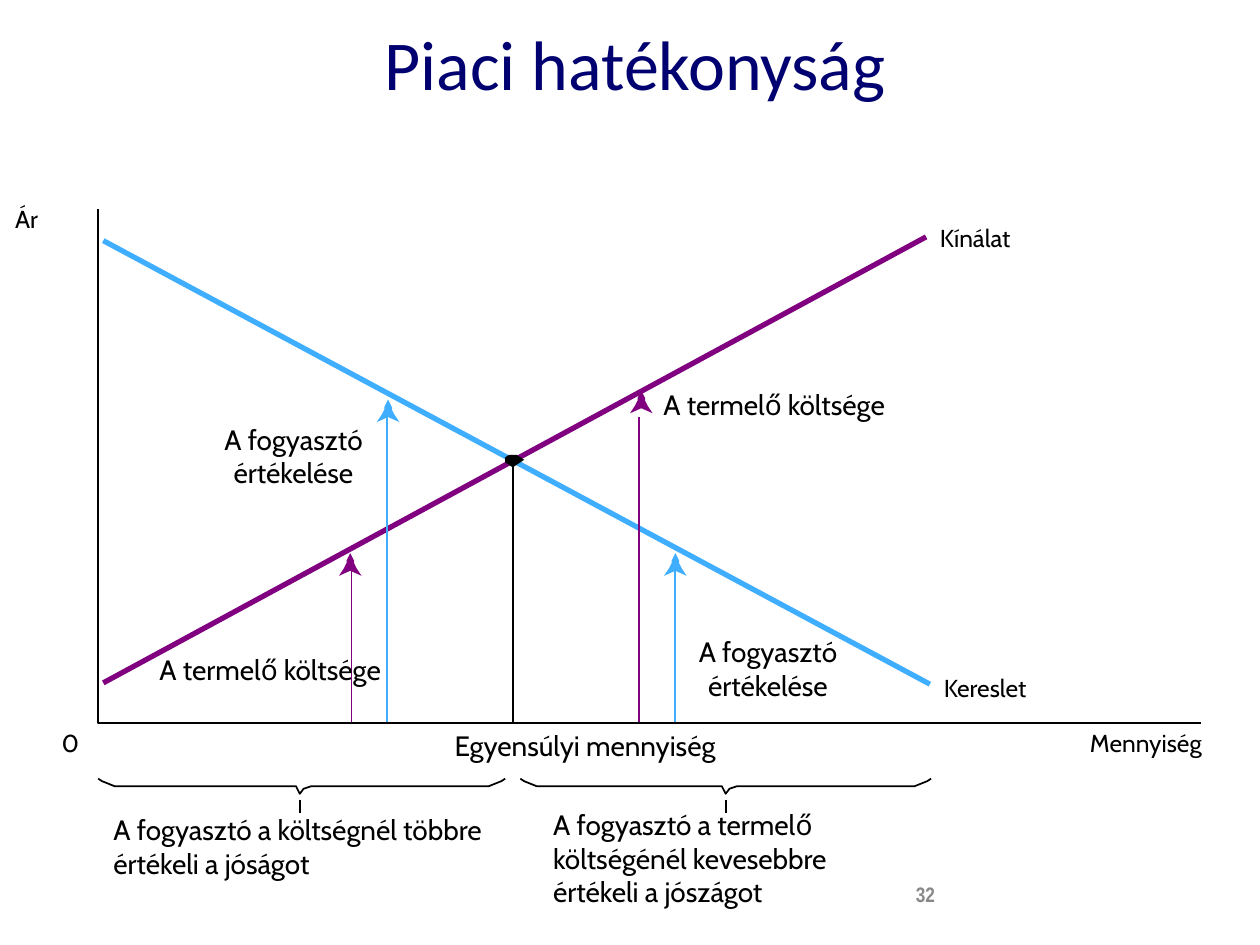
"""Build a supply and demand slide about market efficiency."""
from dataclasses import dataclass

from lxml import etree
from pptx import Presentation
from pptx import util as u
from pptx.dml.color import RGBColor
from pptx.enum import shapes, text
from pptx.oxml.ns import qn


@dataclass(frozen=True)
class Theme:
    title_font: str = "Calibri"
    body_font: str = "Cabin"
    number_font: str = "Arial Narrow"
    title: str = "000070"
    ink: str = "000000"
    grey: str = "898989"
    supply: str = "800080"
    demand: str = "40AEFF"
    title_size: int = 40
    note_size: int = 16
    label_size: int = 14
    number_size: int = 12
    thin: int = 1
    thick: int = 3


THEME = Theme()
AXIS_Y = 5.74
AXES = [(0.78, 1.66), (0.78, AXIS_Y), (9.53, AXIS_Y)]
CURVES = [
    ((0.82, 5.42), (7.35, 1.88), THEME.supply),
    ((0.82, 1.91), (7.38, 5.43), THEME.demand),
]
EQUILIBRIUM = (4.07, 3.66)
DOT = [(0, 0.05), (0.09, -0.01), (0.06, -0.03), (0.03, -0.05), (-0.03, -0.05),
       (-0.06, -0.03), (-0.06, 0.01), (-0.03, 0.03)]

# shaft x, shaft top, tip x, tip y, colour
ARROWS = [
    (3.07, 3.28, 3.08, 3.17, THEME.demand),
    (2.79, 4.51, 2.78, 4.39, THEME.supply),
    (5.07, 3.31, 5.09, 3.10, THEME.supply),
    (5.36, 4.51, 5.36, 4.39, THEME.demand),
]
HALF_HEAD = [(0.03, 0.06), (0.03, 0.08), (0.05, 0.12), (0.09, 0.18)]
HEAD = [(0, 0), *HALF_HEAD, (0, 0.14), *[(-x, y) for x, y in reversed(HALF_HEAD)]]

BRACES = [(0.78, 2.38, 4.01), (4.13, 5.76, 7.39)]
BRACE_Y = 6.18

LABELS = [
    ("Mennyiség", (8.65, 5.78, 0.95, 0.24)),
    ("Ár", (0.12, 1.62, 0.2, 0.24)),
    ("0", (0.49, 5.78, 0.14, 0.24)),
    ("Kínálat", (7.46, 1.77, 0.61, 0.24)),
    ("Kereslet", (7.49, 5.34, 0.72, 0.24)),
]
CENTRED_NOTES = [
    ("Egyensúlyi mennyiség", (3.53, 5.78, 2.23, 0.27)),
    ("A fogyasztó értékelése", (1.75, 3.35, 1.16, 0.54)),
    ("A termelő költsége", (1.22, 5.18, 1.85, 0.27)),
    ("A fogyasztó értékelése", (5.5, 5.04, 1.19, 0.54)),
    ("A termelő költsége", (5.22, 3.08, 1.85, 0.27)),
]
BRACE_NOTES = [
    ("A fogyasztó a költségnél többre\nértékeli a jóságot", (0.9, 6.45, 3.12, 0.54)),
    ("A fogyasztó a termelő\nköltségénél kevesebbre\nértékeli a jószágot",
     (4.39, 6.41, 2.35, 0.81)),
]


def add_text(page, words, at, *, size=THEME.note_size, font=THEME.body_font,
             color=THEME.ink, bold=False, centred=False, wrap=True,
             insets=(0, 0), anchor=text.MSO_ANCHOR.TOP):
    box = page.shapes.add_textbox(*map(u.Inches, at))
    frame = box.text_frame
    frame.word_wrap = wrap
    frame.vertical_anchor = anchor
    frame.margin_left = frame.margin_right = u.Inches(insets[0])
    frame.margin_top = frame.margin_bottom = u.Inches(insets[1])
    for index, line in enumerate(words.split("\n")):
        para = frame.add_paragraph() if index else frame.paragraphs[0]
        para.alignment = text.PP_ALIGN.CENTER if centred else text.PP_ALIGN.LEFT
        span = para.add_run()
        span.text = line
        span.font.name = font
        span.font.size = u.Pt(size)
        span.font.bold = bold
        span.font.color.rgb = RGBColor.from_string(color)


def add_line(page, start, end, color=THEME.ink, width=THEME.thin):
    line = page.shapes.add_connector(
        shapes.MSO_CONNECTOR.STRAIGHT, *map(u.Inches, (*start, *end)))
    line.line.color.rgb = RGBColor.from_string(color)
    line.line.width = u.Pt(width)
    etree.SubElement(line._element.spPr, qn("a:effectLst"))


def add_outline(page, points, color=THEME.ink, filled=False):
    corners = [(u.Inches(x), u.Inches(y)) for x, y in points]
    builder = page.shapes.build_freeform(*corners[0])
    builder.add_line_segments(corners[1:], close=filled)
    outline = builder.convert_to_shape()
    outline.shadow.inherit = False
    if filled:
        outline.fill.solid()
        outline.fill.fore_color.rgb = RGBColor.from_string(color)
        outline.line.fill.background()
    else:
        outline.fill.background()
        outline.line.color.rgb = RGBColor.from_string(color)
        outline.line.width = u.Pt(THEME.thin)


def shifted(points, origin):
    return [(origin[0] + x, origin[1] + y) for x, y in points]


def add_brace(page, left, middle, right):
    half = [(0, 0), (0.03, 0.02), (0.13, 0.06)]
    bar, tip = BRACE_Y + 0.06, BRACE_Y + 0.12
    add_outline(page, [
        *shifted(half, (left, BRACE_Y)),
        (middle - 0.09, bar), (middle - 0.03, bar), (middle, tip),
        (middle + 0.03, bar + 0.02), (middle + 0.09, bar),
        *[(right - x, BRACE_Y + y) for x, y in reversed(half)],
    ])
    add_line(page, (middle, tip + 0.05), (middle, tip + 0.15))


def main():
    deck = Presentation()
    deck.slide_width, deck.slide_height = u.Inches(10), u.Inches(7.5)
    page = deck.slides.add_slide(deck.slide_layouts[6])

    add_text(page, "Piaci hatékonyság", (0.25, 0.08, 9.58, 0.83),
             size=THEME.title_size, font=THEME.title_font, color=THEME.title,
             centred=True, insets=(0.1, 0.05), anchor=text.MSO_ANCHOR.MIDDLE)
    add_text(page, "32", (7.17, 6.95, 2.33, 0.4), size=THEME.number_size,
             font=THEME.number_font, color=THEME.grey, bold=True,
             insets=(0.1, 0.05))

    add_line(page, EQUILIBRIUM, (EQUILIBRIUM[0], AXIS_Y))
    for start, end, color in CURVES:
        add_line(page, start, end, color, THEME.thick)
    add_outline(page, shifted(DOT, EQUILIBRIUM), filled=True)
    for brace in BRACES:
        add_brace(page, *brace)
    for shaft_x, shaft_top, tip_x, tip_y, color in ARROWS:
        add_line(page, (shaft_x, AXIS_Y), (shaft_x, shaft_top), color)
        add_outline(page, shifted(HEAD, (tip_x, tip_y)), color, filled=True)
    add_outline(page, AXES)

    for words, at in LABELS:
        add_text(page, words, at, size=THEME.label_size, wrap=False)
    for words, at in BRACE_NOTES:
        add_text(page, words, at, wrap=False)
    for words, at in CENTRED_NOTES:
        add_text(page, words, at, centred=True)

    deck.save("out.pptx")


if __name__ == "__main__":
    main()
